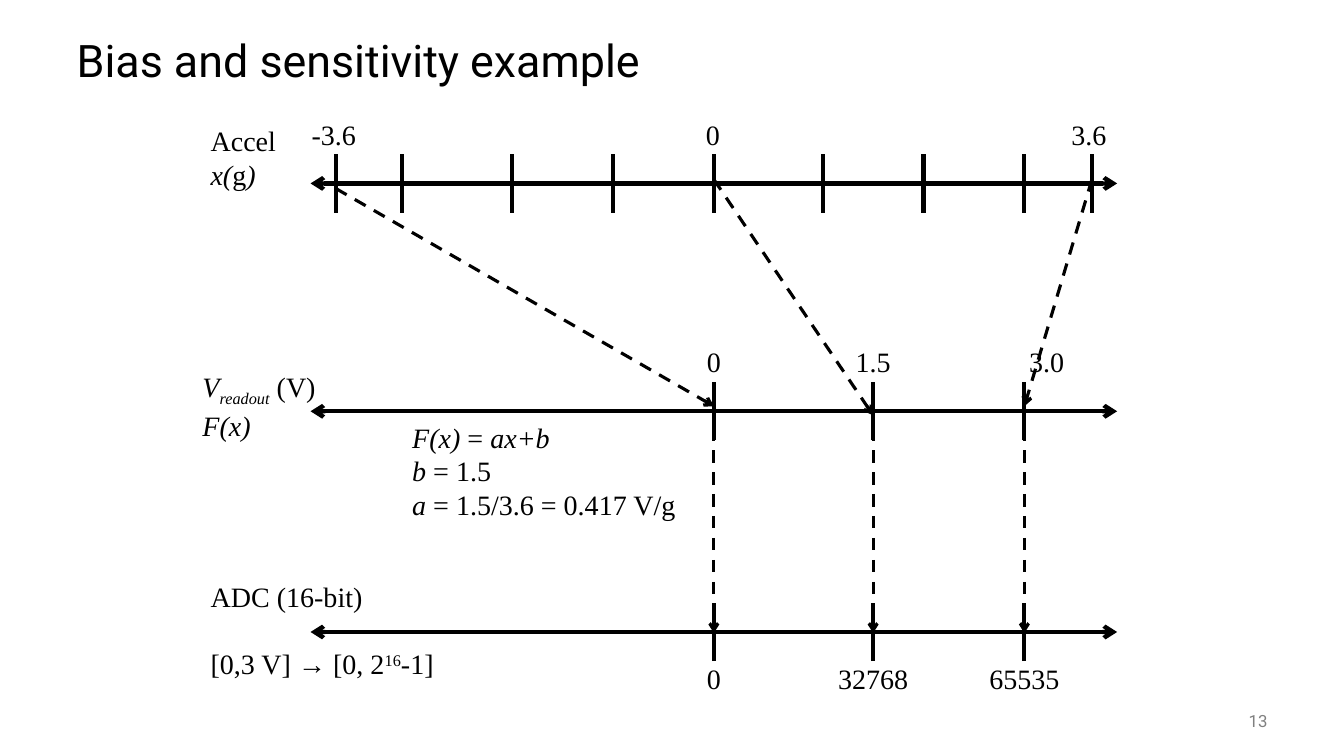
from dataclasses import dataclass

from lxml import etree
from pptx import Presentation, util as u
from pptx.dml.color import RGBColor
from pptx.enum import dml, shapes, text
from pptx.oxml.ns import qn


@dataclass
class Theme:
    ink: RGBColor = RGBColor(0, 0, 0)
    grey: RGBColor = RGBColor(128, 128, 128)
    sans: str = "Roboto"
    serif: str = "Times New Roman"
    title: int = 32
    body: int = 20
    small: int = 12
    axis: float = 3
    dash: float = 2.25


class Deck:
    """Draws styled elements on the current slide."""

    def __init__(self, theme):
        self.theme = theme
        self.prs = Presentation()
        self.prs.slide_width = u.Inches(13.33)
        self.prs.slide_height = u.Inches(7.5)
        self.slide = self.prs.slides.add_slide(self.prs.slide_layouts[5])

    def style(self, para, face, size, color):
        para.font.name = face
        para.font.size = u.Pt(size)
        para.font.color.rgb = color

    def title(self, words):
        box = self.slide.shapes.title
        box.left, box.top = u.Inches(0.66), u.Inches(0.25)
        box.width, box.height = u.Inches(12), u.Inches(0.75)
        frame = box.text_frame
        frame.text = words
        frame.vertical_anchor = text.MSO_ANCHOR.MIDDLE
        para = frame.paragraphs[0]
        para.alignment = text.PP_ALIGN.LEFT
        para.line_spacing = 0.9
        self.style(para, self.theme.sans, self.theme.title, self.theme.ink)

    def box(self, x, y, w, h):
        area = [u.Inches(v) for v in (x, y, w, h)]
        return self.slide.shapes.add_textbox(*area).text_frame

    def number(self, words):
        frame = self.box(11.67, 6.95, 1, 0.4)
        frame.word_wrap = True
        frame.vertical_anchor = text.MSO_ANCHOR.MIDDLE
        para = frame.paragraphs[0]
        para.text = words
        para.alignment = text.PP_ALIGN.RIGHT
        self.style(para, self.theme.sans, self.theme.small, self.theme.grey)

    def note(self, x, y, w, h, rows, gap=0, align=text.PP_ALIGN.LEFT):
        frame = self.box(x, y, w, h)
        frame.word_wrap = False
        frame.auto_size = text.MSO_AUTO_SIZE.SHAPE_TO_FIT_TEXT
        for n, row in enumerate(rows):
            para = frame.add_paragraph() if n else frame.paragraphs[0]
            para.alignment = align
            if n and gap:
                para.space_before = u.Pt(gap)
            self.style(para, self.theme.serif, self.theme.body, self.theme.ink)
            for words, slant, shift in row:
                run = para.add_run()
                run.text = words
                if slant:
                    run.font.italic = True
                if shift:
                    run._r.get_or_add_rPr().set("baseline", str(shift * 1000))

    def label(self, mid, y, words, w):
        self.note(mid - w / 2, y, w, 0.44, [[roman(words)]],
                  align=text.PP_ALIGN.CENTER)

    def line(self, start, end, width, ends=(), dash=False):
        points = [u.Inches(v) for v in (*start, *end)]
        link = self.slide.shapes.add_connector(
            shapes.MSO_CONNECTOR.STRAIGHT, *points)
        link.line.color.rgb = self.theme.ink
        link.line.width = u.Pt(width)
        if dash:
            link.line.dash_style = dml.MSO_LINE.DASH
        for end in ends:
            etree.SubElement(link.line._ln, qn(f"a:{end}"), type="arrow")
        etree.SubElement(link._element.spPr, qn("a:effectLst"))

    def scale(self, y, ticks):
        self.line((3.08, y), (11.08, y), self.theme.axis,
                  ("headEnd", "tailEnd"))
        for x in ticks:
            self.line((x, y + 0.29), (x, y - 0.29), self.theme.axis)

    def map(self, start, end):
        self.line(start, end, self.theme.dash, ("tailEnd",), True)


def roman(words, shift=0):
    return words, False, shift


def slant(words, shift=0):
    return words, True, shift


def main():
    deck = Deck(Theme())
    deck.title("Bias and sensitivity example")
    deck.number("13")

    accel, volt, adc = 1.82, 4.08, 6.27
    zero, half, full = marks = 7.08, 8.66, 10.16
    low, high = 3.33, 10.83
    deck.scale(accel, (low, 3.99, 5.08, 6.08, zero, 8.16, 9.16, full, high))
    deck.scale(volt, marks)
    deck.scale(adc, marks)

    deck.map((low, 1.87), (zero, 4.03))
    deck.map((zero, 1.78), (half, 4.12))
    deck.map((high, 1.78), (full, 4.03))
    for x in marks:
        deck.map((x, 4.03), (x, 6.28))

    for mid, y, words, w in (
        (3.31, 1.12, "-3.6", 0.65),
        (7.07, 1.12, "0", 0.34),
        (10.8, 1.12, "3.6", 0.55),
        (zero, 3.37, "0", 0.34),
        (half, 3.37, "1.5", 0.55),
        (10.38, 3.37, "3.0", 0.55),
        (zero, 6.51, "0", 0.34),
        (half, 6.51, "32768", 0.9),
        (full, 6.51, "65535", 0.9),
    ):
        deck.label(mid, y, words, w)

    deck.note(1.99, 1.18, 0.88, 0.77, [
        [roman("Accel")],
        [slant("x("), roman("g"), slant(")")],
    ])
    deck.note(1.91, 3.62, 1.44, 0.77, [
        [slant("V"), slant("readout", -25), roman(" (V)")],
        [slant("F(x)")],
    ])
    deck.note(1.99, 5.7, 2.45, 1.11, [
        [roman("ADC (16-bit)")],
        [roman("[0,3 V] → [0, 2"), roman("16", 30), roman("-1]")],
    ], gap=24)
    deck.note(3.99, 4.12, 2.86, 1.11, [
        [slant("F(x)"), roman(" = "), slant("ax+b")],
        [slant("b"), roman(" = 1.5")],
        [slant("a"), roman(" = 1.5/3.6 = 0.417 V/g")],
    ])
    deck.prs.save("out.pptx")


if __name__ == "__main__":
    main()
